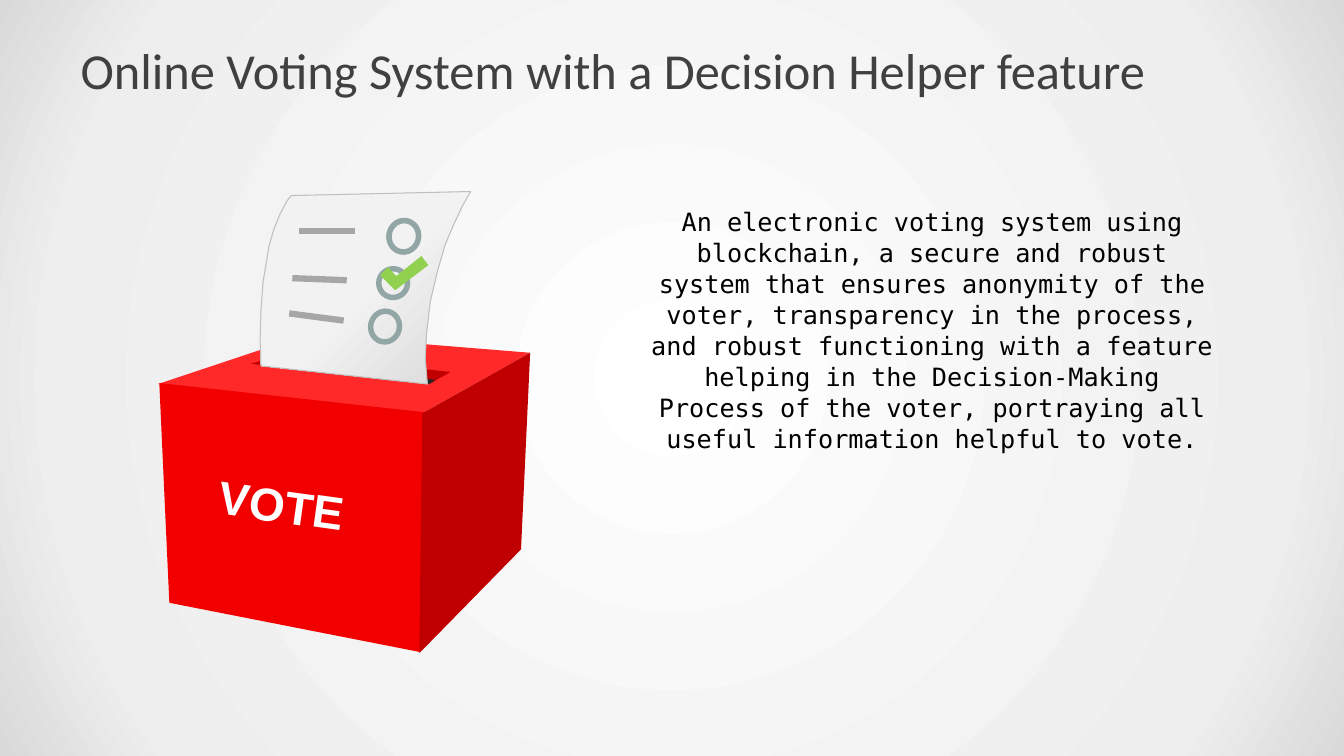
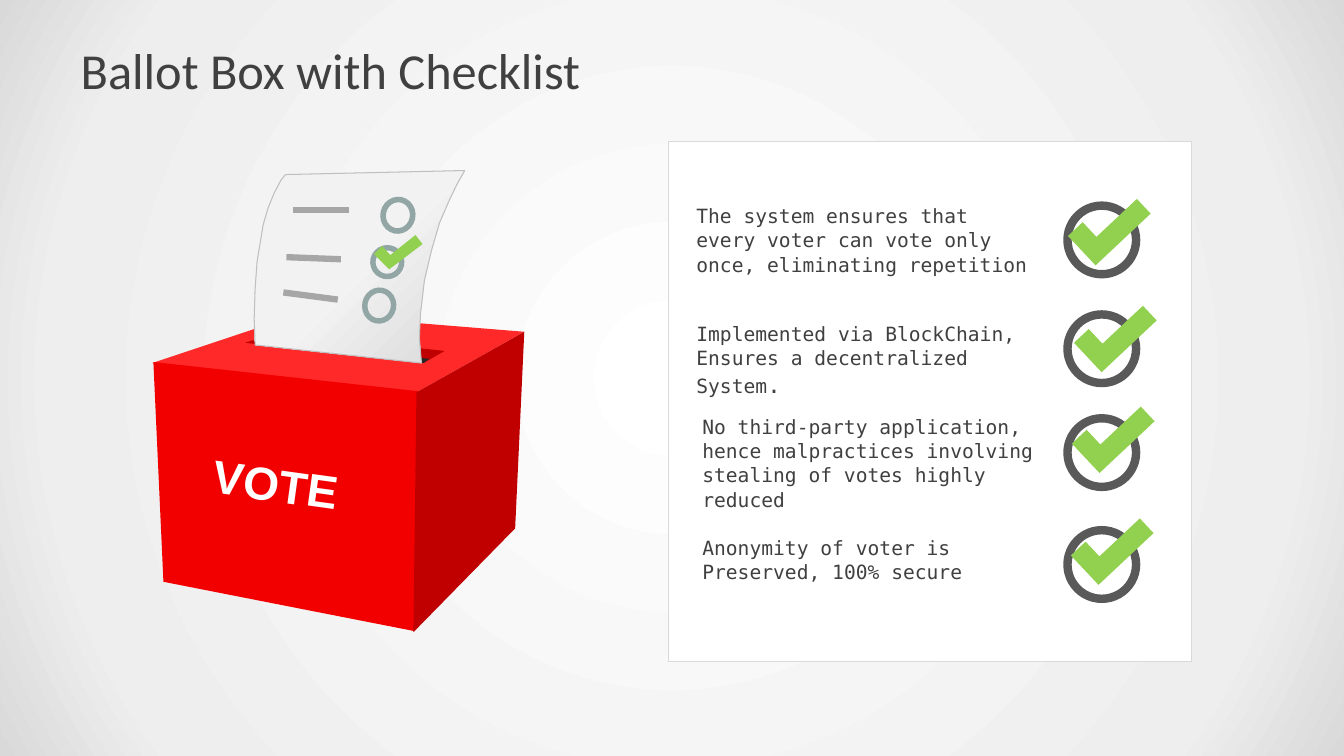
from pptx import Presentation
from pptx.dml.color import RGBColor
from pptx.enum import shapes, text
from pptx.oxml import parse_xml
from pptx.oxml.ns import nsdecls, qn
from pptx.util import Pt

MONO = "DejaVu Sans Mono"
GREEN, DARK, RING_GREY = "92D050", "404040", "92A6A5"
PAGE_STOPS = [(0, "FFFFFF"), (81, "EEEEEE"), (100, "D9D9D9")]
PAPER_STOPS = [(0, "D9D9D9"), (50, "F2F2F2"), (100, "F2F2F2")]
RADIAL = '<a:path path="circle"><a:fillToRect l="50000" t="50000" r="50000" b="50000"/></a:path>'
DIAGONAL = '<a:lin ang="13500000" scaled="0"/>'

BOX_FACES = [
    ("FF2929", [(218.9, 239), (378.7, 252), (301.7, 295.2), (113, 274.3)]),
    ("F20000", [(113.8, 273.6), (303.1, 294.5), (300.2, 465.8), (121, 430.6)]),
    ("C00000", [(378.7, 252), (372.2, 392.4), (299.5, 466.6), (301.7, 295.2)]),
    ("C00000", [(201.6, 252.7), (321.8, 265.7), (306.7, 274.3), (179.3, 259.9)]),
    ("262626", [(198.7, 258.5), (311, 271.4), (306.7, 274.3), (191.5, 261.4)]),
]
PAPER = [
    (336.2, 136.8), (330.5, 146.9), (324.7, 159.1), (318.2, 174.2), (312.5, 193.7),
    (307.4, 215.3), (304.6, 239), (303.8, 256.3), (305.3, 274.3), (186.5, 261.4),
    (185.8, 242.6), (186.5, 221), (187.9, 201.6), (190.1, 188.6), (192.2, 175.7),
    (195.8, 163.4), (200.2, 152.6), (205.2, 143.3), (208.1, 139.7),
]
PAPER_RINGS = [(275.8, 155.5, 25.2, 26.6), (268.6, 190, 24.5, 24.5), (262.8, 220.3, 24.5, 26)]
PAPER_TICK = [(301, 182.9), (306, 189.4), (282.2, 207.4), (271.4, 196.6), (277.2, 190.8), (283, 197.3)]
PAPER_LINES = [(213.8, 164.9, 253.4, 164.9), (208.8, 198.7, 247.7, 200.2), (206.6, 223.9, 245.5, 229)]

SUMMARY = (
    "An electronic voting system using blockchain, a secure and robust system that "
    "ensures anonymity of the voter, transparency in the process, and robust functioning "
    "with a feature helping in the Decision-Making Process of the voter, portraying all "
    "useful information helpful to vote."
)
CHECKLIST = [
    dict(ring_top=146.9, tick=(765.4, 146.2), box=(490.3, 141.8, 259.9, 58.3),
         lines=["The system ensures that", "every voter can vote only", "once, eliminating repetition"]),
    dict(ring_top=224.6, tick=(769.7, 222.5), box=(490.3, 226.1, 251.3, 60.5),
         lines=["Implemented via BlockChain,", "Ensures a decentralized", [("System", 14), (".", 16)]]),
    dict(ring_top=298.8, tick=(768.2, 294.5), box=(494.6, 292.3, 275.8, 74.9),
         lines=["No third-party application, hence malpractices involving stealing of votes highly reduced"]),
    dict(ring_top=378.7, tick=(767.5, 374.4), box=(494.6, 378.7, 216.7, 41),
         lines=["Anonymity of voter is", "Preserved, 100% secure"]),
]


def rgb(color):
    return RGBColor.from_string(color)


def paint(sp, fill=None, line=None, width=0):
    sp.shadow.inherit = False
    if fill:
        sp.fill.solid()
        sp.fill.fore_color.rgb = rgb(fill)
    else:
        sp.fill.background()
    if line:
        sp.line.color.rgb = rgb(line)
        sp.line.width = Pt(width)
    else:
        sp.line.fill.background()
    return sp


def set_gradient(owner, fill, stops, direction):
    fill.gradient()
    gs = "".join(f'<a:gs pos="{pos * 1000}"><a:srgbClr val="{c}"/></a:gs>' for pos, c in stops)
    old = owner.find(".//" + qn("a:gradFill"))
    new = parse_xml(f'<a:gradFill {nsdecls("a")} rotWithShape="1"><a:gsLst>{gs}</a:gsLst>{direction}</a:gradFill>')
    old.getparent().replace(old, new)


def add_shape(parent, kind, box, **style):
    return paint(parent.shapes.add_shape(kind, *map(Pt, box)), **style)


def add_outline(parent, points, **style):
    pts = [(Pt(x), Pt(y)) for x, y in points]
    builder = parent.shapes.build_freeform(*pts[0])
    builder.add_line_segments(pts[1:], close=True)
    return paint(builder.convert_to_shape(), **style)


def write(tf, paragraphs, size, color, font=MONO, bold=False, align="LEFT", spacing=1,
          wrap=True, insets=(7.2, 3.6), anchor="TOP"):
    tf.word_wrap = wrap
    tf.auto_size = text.MSO_AUTO_SIZE.NONE
    tf.vertical_anchor = text.MSO_ANCHOR[anchor]
    tf.margin_left = tf.margin_right = Pt(insets[0])
    tf.margin_top = tf.margin_bottom = Pt(insets[1])
    for i, runs in enumerate(paragraphs):
        p = tf.add_paragraph() if i else tf.paragraphs[0]
        p.alignment = text.PP_ALIGN[align]
        p.line_spacing = spacing
        for words, points in [(runs, size)] if isinstance(runs, str) else runs:
            r = p.add_run()
            r.text = words
            r.font.name, r.font.size, r.font.bold = font, Pt(points), bold
            r.font.color.rgb = rgb(color)


def add_text(parent, box, paragraphs, **style):
    sp = parent.shapes.add_textbox(*map(Pt, box))
    write(sp.text_frame, paragraphs, **style)
    return sp


def add_slide(prs, title):
    s = prs.slides.add_slide(prs.slide_layouts[5])
    sp = s.shapes.title
    sp.left, sp.top, sp.width, sp.height = map(Pt, (48, 21.6, 864, 56))
    write(sp.text_frame, [title], size=36, color=DARK, font="Calibri",
          insets=(9.6, 4.8), anchor="MIDDLE")
    return s


def add_ballot_box(s, dx=0, dy=0):
    group = s.shapes.add_group_shape()
    for color, points in BOX_FACES:
        add_outline(group, points, fill=color)
    label = add_text(group, (149, 337, 105.1, 47.5), ["VOTE"], size=33, color="FFFFFF",
                     font="Arial", bold=True, wrap=False)
    label.rotation = 8
    paper = add_outline(group, PAPER, line="BFBFBF")
    set_gradient(paper.element, paper.fill, PAPER_STOPS, DIAGONAL)
    for box in PAPER_RINGS:
        ring = add_shape(group, shapes.MSO_SHAPE.DONUT, box, fill=RING_GREY)
        ring.adjustments[0] = 0.16
        ring.rotation = 12
    add_outline(group, PAPER_TICK, fill=GREEN)
    for ends in PAPER_LINES:
        line = group.shapes.add_connector(shapes.MSO_CONNECTOR.STRAIGHT, *map(Pt, ends))
        line.line.color.rgb = rgb("A6A6A6")
        line.line.width = Pt(4.5)
        line.element.spPr.append(parse_xml(f'<a:effectLst {nsdecls("a")}/>'))
    group.left += Pt(dx)
    group.top += Pt(dy)


def add_checklist(s):
    add_shape(s, shapes.MSO_SHAPE.RECTANGLE, (477.6, 101.2, 373.4, 371.5),
              fill="FFFFFF", line="D9D9D9", width=0.5)
    for item in CHECKLIST:
        add_shape(s, shapes.MSO_SHAPE.OVAL, (762.5, item["ring_top"], 49, 49),
                  line="595959", width=6)
        add_text(s, item["box"], item["lines"], size=14, color=DARK, spacing=1.03)
        tick = add_shape(s, shapes.MSO_SHAPE.CORNER, (*item["tick"], 54, 28.8), fill=GREEN)
        tick.rotation = 316.8


def main():
    prs = Presentation()
    prs.slide_width, prs.slide_height = Pt(960), Pt(540)
    master = prs.slide_master
    set_gradient(master.element, master.background.fill, PAGE_STOPS, RADIAL)

    s = add_slide(prs, "Online Voting System with a Decision Helper feature")
    add_ballot_box(s)
    add_text(s, (434.9, 143.5, 461.5, 338), [SUMMARY], size=18, color="000000",
             align="CENTER", spacing=1.03, insets=(25.2, 3))

    s = add_slide(prs, "Ballot Box with Checklist")
    add_ballot_box(s, dx=-4.2, dy=-15)
    add_checklist(s)
    prs.save("out.pptx")


if __name__ == "__main__":
    main()
